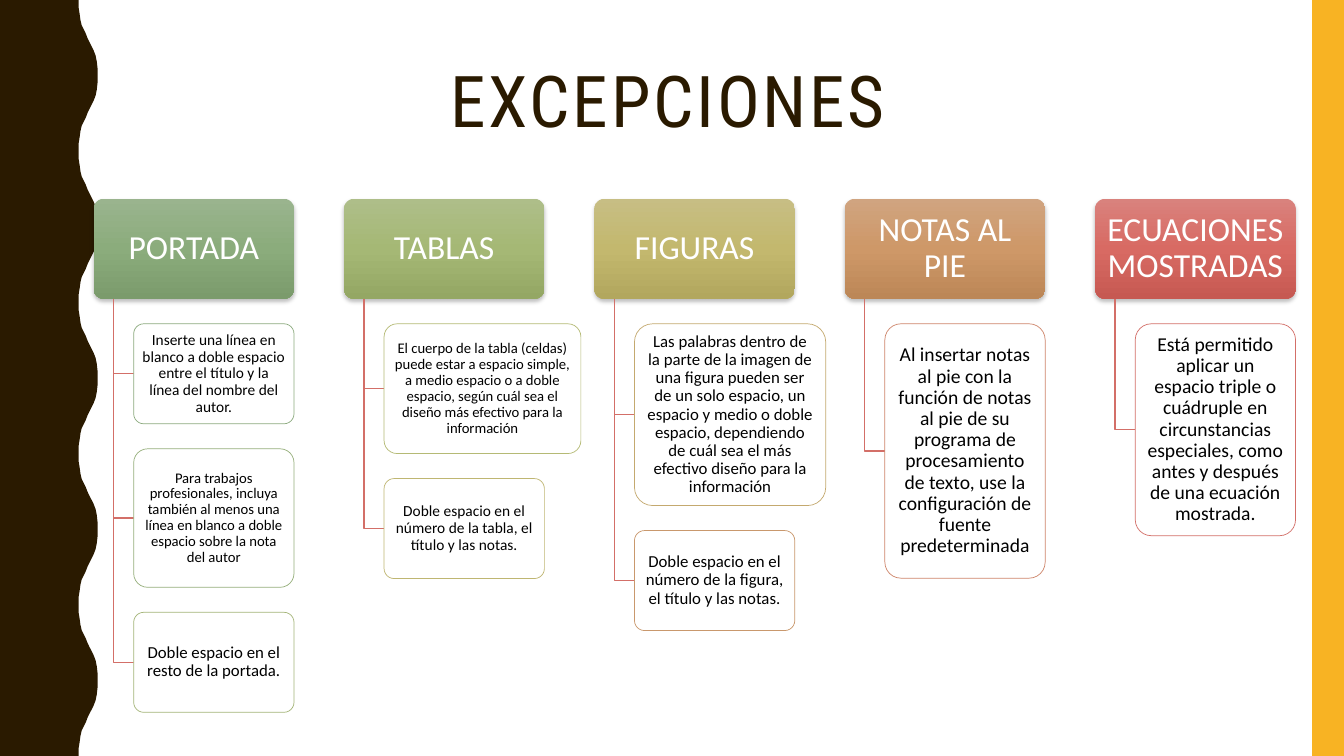
from copy import deepcopy

from lxml.etree import SubElement
from pptx import Presentation
from pptx.dml.color import RGBColor
from pptx.enum.shapes import MSO_SHAPE
from pptx.enum.text import MSO_ANCHOR, PP_ALIGN
from pptx.oxml.ns import qn
from pptx.util import Cm, Pt

BROWN = RGBColor(0x2A, 0x1A, 0x00)
AMBER = RGBColor(0xF8, 0xB3, 0x23)
CORAL = RGBColor(0xD3, 0x6F, 0x68)
WHITE = RGBColor(0xFF, 0xFF, 0xFF)
BLACK = RGBColor(0x00, 0x00, 0x00)
PORTADA = [RGBColor(0x9A, 0xB4, 0x8E), RGBColor(0x8B, 0xAC, 0x7C), RGBColor(0x7B, 0x9B, 0x6C)]
TABLAS = [RGBColor(0xAE, 0xBE, 0x89), RGBColor(0xA5, 0xB8, 0x75), RGBColor(0x94, 0xA7, 0x64)]
FIGURAS = [RGBColor(0xC7, 0xBE, 0x84), RGBColor(0xC3, 0xB8, 0x6E), RGBColor(0xB2, 0xA7, 0x5E)]
NOTAS = [RGBColor(0xD0, 0xA4, 0x80), RGBColor(0xCE, 0x98, 0x68), RGBColor(0xBC, 0x87, 0x57)]
ECUACIONES = [RGBColor(0xD9, 0x82, 0x7D), RGBColor(0xD8, 0x6A, 0x63), RGBColor(0xC6, 0x59, 0x52)]
OUTLINES = [RGBColor(0x8C, 0xAA, 0x7E), RGBColor(0x96, 0xAF, 0x7B), RGBColor(0xA4, 0xB5, 0x78),
            RGBColor(0xB5, 0xBA, 0x75), RGBColor(0xBF, 0xB6, 0x72), RGBColor(0xC4, 0xA9, 0x6F),
            RGBColor(0xC9, 0x98, 0x6D), RGBColor(0xCE, 0x85, 0x6A), CORAL]

SLIDE_W, SLIDE_H = 33.87, 19.05
LEFT, TOP, PITCH = 2.36, 5.01, 6.31
HEAD_W, HEAD_H, GAP = 5.05, 2.52, 0.63
TRUNK, INDENT, CARD_W = 0.5, 1.01, 4.04
WAVE_PERIOD = 3.81
HALF_WAVE = [(1.98, 0), (1.98, 0.18), (2.01, 0.36), (2.03, 0.51), (2.06, 0.64),
             (2.11, 0.74), (2.16, 0.84), (2.21, 0.97), (2.26, 1.07), (2.31, 1.17),
             (2.36, 1.27), (2.41, 1.4), (2.44, 1.55), (2.46, 1.73), (2.46, 1.9)]

COLUMNS = [
    ("PORTADA", PORTADA, [
        ("Inserte una línea en blanco a doble espacio entre el título y la línea "
         "del nombre del autor.", 11, CARD_W, 2.52),
        ("Para trabajos profesionales, incluya también al menos una línea en blanco "
         "a doble espacio sobre la nota del autor", 10.5, CARD_W, 3.49),
        ("Doble espacio en el resto de la portada.", 12, CARD_W, 2.52)]),
    ("TABLAS", TABLAS, [
        ("El cuerpo de la tabla (celdas) puede estar a espacio simple, a medio espacio "
         "o a doble espacio, según cuál sea el diseño más efectivo para la información",
         10.5, 4.96, 3.27),
        ("Doble espacio en el número de la tabla, el título y las notas.",
         11, CARD_W, 2.52)]),
    ("FIGURAS", FIGURAS, [
        ("Las palabras dentro de la parte de la imagen de una figura pueden ser de un "
         "solo espacio, un espacio y medio o doble espacio, dependiendo de cuál sea el "
         "más efectivo diseño para la información", 12, 4.82, 4.58),
        ("Doble espacio en el número de la figura, el título y las notas.",
         12, CARD_W, 2.52)]),
    ("NOTAS AL PIE", NOTAS, [
        ("Al insertar notas al pie con la función de notas al pie de su programa de "
         "procesamiento de texto, use la configuración de fuente predeterminada",
         14, CARD_W, 6.41)]),
    ("ECUACIONES MOSTRADAS", ECUACIONES, [
        ("Está permitido aplicar un espacio triple o cuádruple en circunstancias "
         "especiales, como antes y después de una ecuación mostrada.",
         14, CARD_W, 5.34)]),
]


def format_text(tf, text, font, size, color):
    tf.word_wrap = True
    tf.vertical_anchor = MSO_ANCHOR.MIDDLE
    p = tf.paragraphs[0]
    p.text = text
    p.alignment = PP_ALIGN.CENTER
    p.line_spacing = 0.9
    p.font.name, p.font.size, p.font.color.rgb = font, Pt(size), color
    return p


def add_polyline(slide, points, close):
    builder = slide.shapes.build_freeform(Cm(points[0][0]), Cm(points[0][1]))
    builder.add_line_segments([(Cm(x), Cm(y)) for x, y in points[1:]], close=close)
    sp = builder.convert_to_shape()
    sp.shadow.inherit = False
    return sp


def add_wave(slide):
    mirrored = [(x, WAVE_PERIOD - y) for x, y in reversed(HALF_WAVE)]
    edge = [(x, y + i * WAVE_PERIOD) for i in range(5) for x, y in HALF_WAVE + mirrored]
    sp = add_polyline(slide, [(0, 0)] + edge + [(0, SLIDE_H)], True)
    sp.fill.solid()
    sp.fill.fore_color.rgb = BROWN
    sp.line.fill.background()


def add_strip(slide):
    sp = slide.shapes.add_shape(MSO_SHAPE.RECTANGLE, Cm(33.07), 0, Cm(0.8), Cm(SLIDE_H))
    sp.shadow.inherit = False
    sp.fill.solid()
    sp.fill.fore_color.rgb = AMBER
    sp.line.fill.background()


def add_rounded(slide, x, y, w, h, text, size, color, inset):
    sp = slide.shapes.add_shape(MSO_SHAPE.ROUNDED_RECTANGLE, Cm(x), Cm(y), Cm(w), Cm(h))
    sp.shadow.inherit = False
    sp.adjustments[0] = 0.1
    tf = sp.text_frame
    tf.margin_left = tf.margin_right = tf.margin_top = tf.margin_bottom = Cm(inset)
    format_text(tf, text, "Calibri", size, color)
    return sp


def add_header(slide, x, text, colors):
    sp = add_rounded(slide, x, TOP, HEAD_W, HEAD_H, text, 24, WHITE, 0.2)
    sp.line.fill.background()
    sp.fill.gradient()
    sp.fill.gradient_angle = 270
    spPr = sp._element.spPr
    stops = spPr.find(".//" + qn("a:gsLst"))
    stops.insert(1, deepcopy(stops[0]))
    for stop, position, color in zip(sp.fill.gradient_stops, (0, 0.5, 1), colors):
        stop.position = position
        stop.color.rgb = color
    shadow = SubElement(spPr.find(qn("a:effectLst")), qn("a:outerShdw"),
                        blurRad=str(Pt(3)), dist=str(Pt(2)), dir="5400000", rotWithShape="0")
    black = SubElement(shadow, qn("a:srgbClr"), val="000000")
    SubElement(black, qn("a:alpha"), val="25000")


def add_branch(slide, x, y):
    sp = add_polyline(slide, [(x + TRUNK, TOP + HEAD_H), (x + TRUNK, y), (x + INDENT, y)], False)
    sp.fill.background()
    sp.line.color.rgb = CORAL
    sp.line.width = Pt(1)


def add_card(slide, x, y, w, h, text, size, outline):
    sp = add_rounded(slide, x, y, w, h, text, size, BLACK, 0.14 if h < 4 else 0.19)
    sp.fill.solid()
    sp.fill.fore_color.rgb = WHITE
    sp.line.color.rgb = outline
    sp.line.width = Pt(0.5)


def add_title(slide):
    sp = slide.shapes.title
    sp.left, sp.top, sp.width, sp.height = Cm(7.16), Cm(1.37), Cm(19.35), Cm(2.54)
    p = format_text(sp.text_frame, "EXCEPCIONES", "Roboto Condensed", 51, BROWN)
    p.runs[0]._r.get_or_add_rPr().set("spc", "200")


def main():
    prs = Presentation()
    prs.slide_width, prs.slide_height = Cm(SLIDE_W), Cm(SLIDE_H)
    slide = prs.slides.add_slide(prs.slide_layouts[5])
    add_title(slide)
    add_wave(slide)
    add_strip(slide)
    outlines = iter(OUTLINES)
    for i, (heading, colors, cards) in enumerate(COLUMNS):
        x = LEFT + i * PITCH
        add_header(slide, x, heading, colors)
        y = TOP + HEAD_H + GAP
        for text, size, w, h in cards:
            add_branch(slide, x, y + h / 2)
            add_card(slide, x + INDENT, y, w, h, text, size, next(outlines))
            y += h + GAP
    prs.save("out.pptx")


if __name__ == "__main__":
    main()
